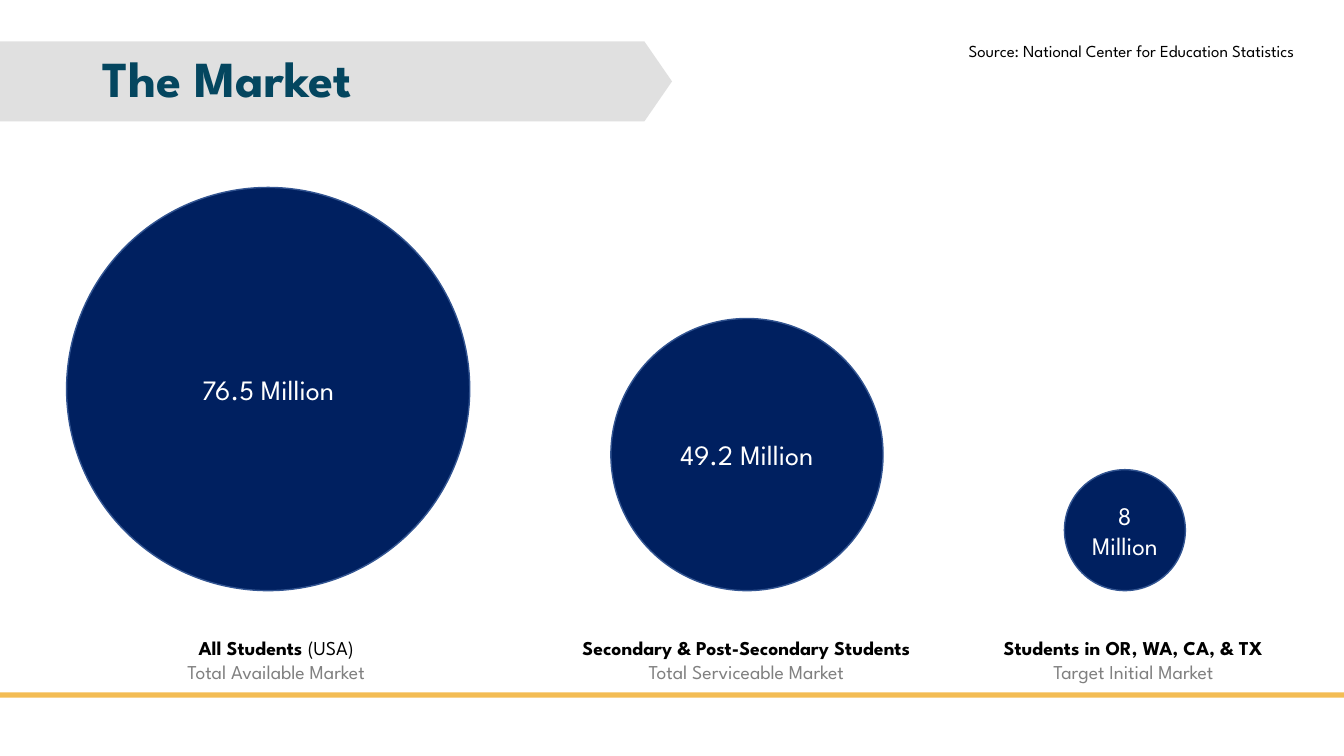
from lxml.etree import SubElement
from pptx import Presentation
from pptx.dml.color import RGBColor
from pptx.enum.shapes import MSO_SHAPE as SHAPE
from pptx.enum.text import MSO_ANCHOR as ANCHOR, MSO_AUTO_SIZE as AUTO, PP_ALIGN as ALIGN
from pptx.oxml.ns import qn
from pptx.util import Inches, Pt

NAVY = RGBColor(0x00, 0x20, 0x60)
EDGE = RGBColor(0x32, 0x54, 0x91)
TEAL = RGBColor(0x04, 0x46, 0x5F)
GOLD = RGBColor(0xF3, 0xBC, 0x54)
SILVER = RGBColor(0xD9, 0xD9, 0xD9)
GRAY = RGBColor(0x80, 0x80, 0x80)
BLACK = RGBColor(0x00, 0x00, 0x00)
WHITE = RGBColor(0xFF, 0xFF, 0xFF)

prs = Presentation()
prs.slide_width, prs.slide_height = Inches(13.333), Inches(7.5)
COL, ROW = prs.slide_width / 100, prs.slide_height / 100
s = prs.slides.add_slide(prs.slide_layouts[6])


def add_shape(kind, x, y, w, h, fill, line=None):
    sp = s.shapes.add_shape(kind, int(x), int(y), int(w), int(h))
    sp.shadow.inherit = False
    sp.fill.solid()
    sp.fill.fore_color.rgb = fill
    if line is None:
        sp.line.fill.background()
    else:
        sp.line.color.rgb = line
        sp.line.width = Pt(1)
    return sp


def write(lines, size, sp=None, box=None, align=ALIGN.CENTER, anchor=ANCHOR.TOP,
          spacing=None, fit=AUTO.SHAPE_TO_FIT_TEXT):
    sp = sp or s.shapes.add_textbox(*map(int, box))
    tf = sp.text_frame
    tf.word_wrap = True
    tf.auto_size = fit
    tf.vertical_anchor = anchor
    for i, runs in enumerate(lines):
        p = tf.add_paragraph() if i else tf.paragraphs[0]
        p.alignment = align
        p.line_spacing = spacing
        for text, color, bold in runs:
            r = p.add_run()
            r.text = text
            r.font.name = "League Spartan"
            r.font.size = Pt(size)
            r.font.bold = bold
            r.font.color.rgb = color
    return tf


add_shape(SHAPE.RECTANGLE, 0, 91.6 * ROW, 100 * COL, 0.67 * ROW, GOLD)
banner = add_shape(SHAPE.PENTAGON, 0, 5.47 * ROW, 50 * COL, 10.6 * ROW, SILVER)
banner.adjustments[0] = 0.345
color = banner.fill._xPr.find(qn("a:solidFill"))[0]
SubElement(color, qn("a:alpha"), val="80000")
write([[("The Market", TEAL, True)]], 36,
      box=(6.9 * COL, 5.47 * ROW, 86.25 * COL, 10.6 * ROW),
      align=ALIGN.LEFT, anchor=ANCHOR.MIDDLE, spacing=0.9, fit=AUTO.NONE)

BASE = 78.13 * ROW
markets = [
    ("76.5 Million", 20, 19.95, 53.33, 20.55, 28.5,
     "All Students ", "(USA)", "Total Available Market"),
    ("49.2 Million", 20, 55.58, 36, 55.54, 34.88,
     "Secondary & Post-Secondary Students", "", "Total Serviceable Market"),
    ("8 Million", 18, 83.7, 16, 84.34, 24.68,
     "Students in OR, WA, CA, & TX", "", "Target Initial Market"),
]
for value, size, center, diameter, middle, width, group, note, market in markets:
    d = diameter * ROW
    circle = add_shape(SHAPE.OVAL, center * COL - d / 2, BASE - d, d, d, NAVY, EDGE)
    tf = write([[(value, WHITE, False)]], size, sp=circle,
               anchor=ANCHOR.MIDDLE, fit=AUTO.NONE)
    if size == 18:
        tf.margin_left = tf.margin_right = tf.margin_top = tf.margin_bottom = 0
    heading = [(group, BLACK, True)]
    if note:
        heading.append((note, BLACK, False))
    write([heading, [(market, GRAY, False)]], 14,
          box=((middle - width / 2) * COL, 83.47 * ROW, width * COL, 7.6 * ROW))

write([[("Source: National Center for Education Statistics", BLACK, False)]], 12,
      box=(68.4 * COL, 4.8 * ROW, 31.6 * COL, 4 * ROW))

prs.save("out.pptx")
